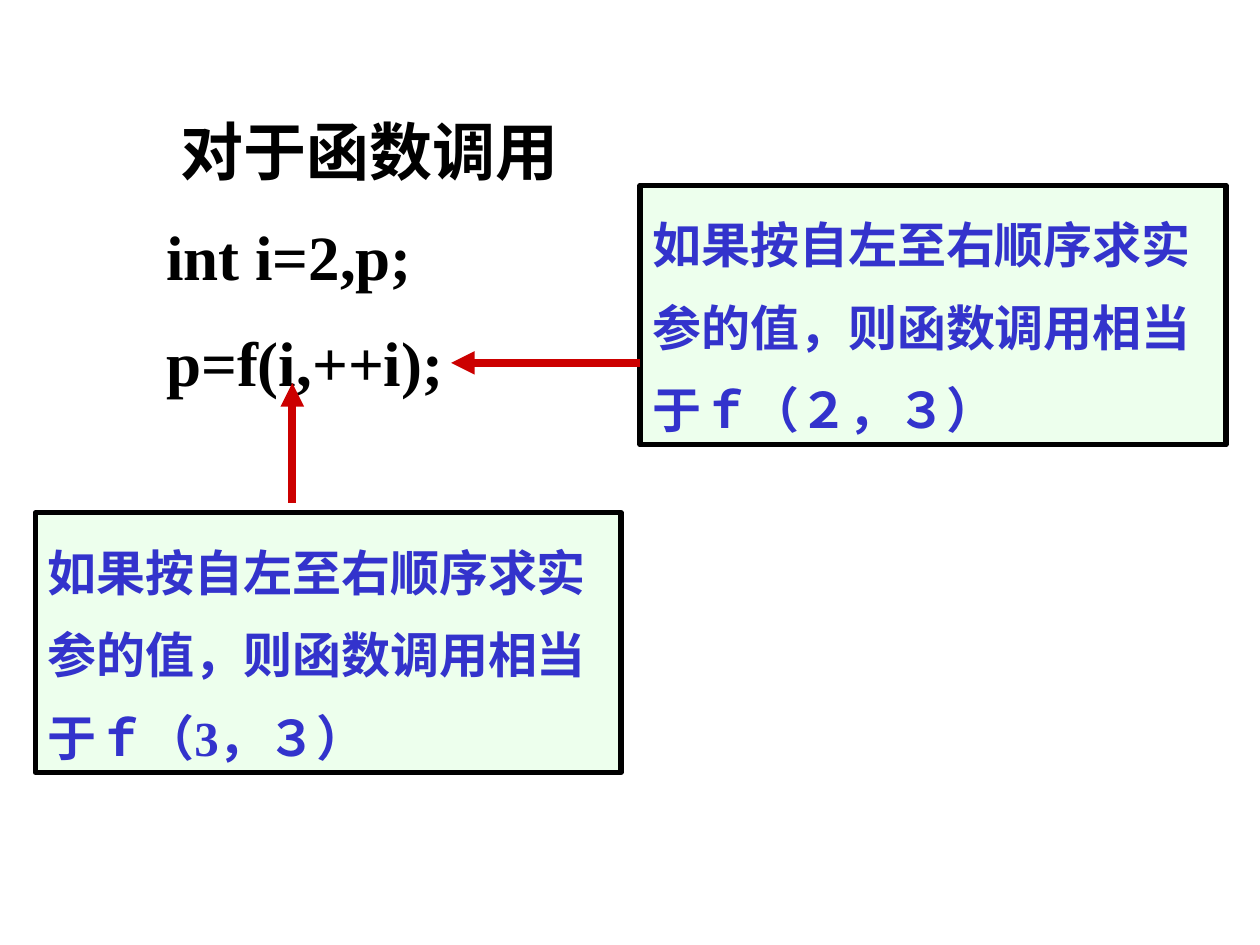
from lxml import etree
from pptx import Presentation
from pptx.dml.color import RGBColor
from pptx.enum.shapes import MSO_CONNECTOR, MSO_SHAPE
from pptx.enum.text import MSO_ANCHOR, MSO_AUTO_SIZE, PP_ALIGN
from pptx.oxml.ns import qn
from pptx.util import Inches, Pt

BLACK = RGBColor(0x00, 0x00, 0x00)
BLUE = RGBColor(0x33, 0x33, 0xCC)
RED = RGBColor(0xCC, 0x00, 0x00)
PALE_GREEN = RGBColor(0xED, 0xFF, 0xED)
FONT = "Times New Roman"


def style_paragraph(paragraph, size, color, spacing):
    paragraph.alignment = PP_ALIGN.LEFT
    paragraph.line_spacing = spacing
    paragraph.font.name = FONT
    paragraph.font.size = Pt(size)
    paragraph.font.bold = True
    paragraph.font.color.rgb = color


prs = Presentation()
prs.slide_width, prs.slide_height = Inches(10), Inches(7.5)
slide = prs.slides.add_slide(prs.slide_layouts[6])

# Explanations of the two evaluation results
explanations = [
    (5.08, 1.47, "如果按自左至右顺序求实参的值，则函数调用相当于ｆ（２，３）"),
    (0.28, 4.07, "如果按自左至右顺序求实参的值，则函数调用相当于ｆ（3，３）"),
]
for left, top, wording in explanations:
    explanation = slide.shapes.add_shape(
        MSO_SHAPE.RECTANGLE, Inches(left), Inches(top), Inches(4.65), Inches(2.06))
    explanation.shadow.inherit = False
    explanation.fill.solid()
    explanation.fill.fore_color.rgb = PALE_GREEN
    explanation.line.color.rgb = BLACK
    explanation.line.width = Pt(3)
    frame = explanation.text_frame
    frame.word_wrap = True
    frame.auto_size = MSO_AUTO_SIZE.SHAPE_TO_FIT_TEXT
    frame.vertical_anchor = MSO_ANCHOR.TOP
    frame.text = wording
    style_paragraph(frame.paragraphs[0], 28, BLUE, 1.4)

# Heading and code
code = slide.shapes.add_textbox(
    Inches(1.22), Inches(0.84), Inches(3.41), Inches(2.38)).text_frame
code.word_wrap = False
code.auto_size = MSO_AUTO_SIZE.SHAPE_TO_FIT_TEXT
code.text = " 对于函数调用\nint i=2,p;\np=f(i,++i);"
for paragraph, spacing in zip(code.paragraphs, (1.0, 1.4, 1.4)):
    style_paragraph(paragraph, 36, BLACK, spacing)

# Arrows from the explanations to the call
for start_x, start_y, end_x, end_y in [(5.08, 2.88, 3.58, 2.88),
                                       (2.32, 3.99, 2.32, 3.04)]:
    arrow = slide.shapes.add_connector(
        MSO_CONNECTOR.STRAIGHT, Inches(start_x), Inches(start_y),
        Inches(end_x), Inches(end_y))
    arrow.line.color.rgb = RED
    arrow.line.width = Pt(4.5)
    etree.SubElement(arrow.line._get_or_add_ln(), qn("a:tailEnd"), type="triangle")
    etree.SubElement(arrow._element.spPr, qn("a:effectLst"))

prs.save("out.pptx")
